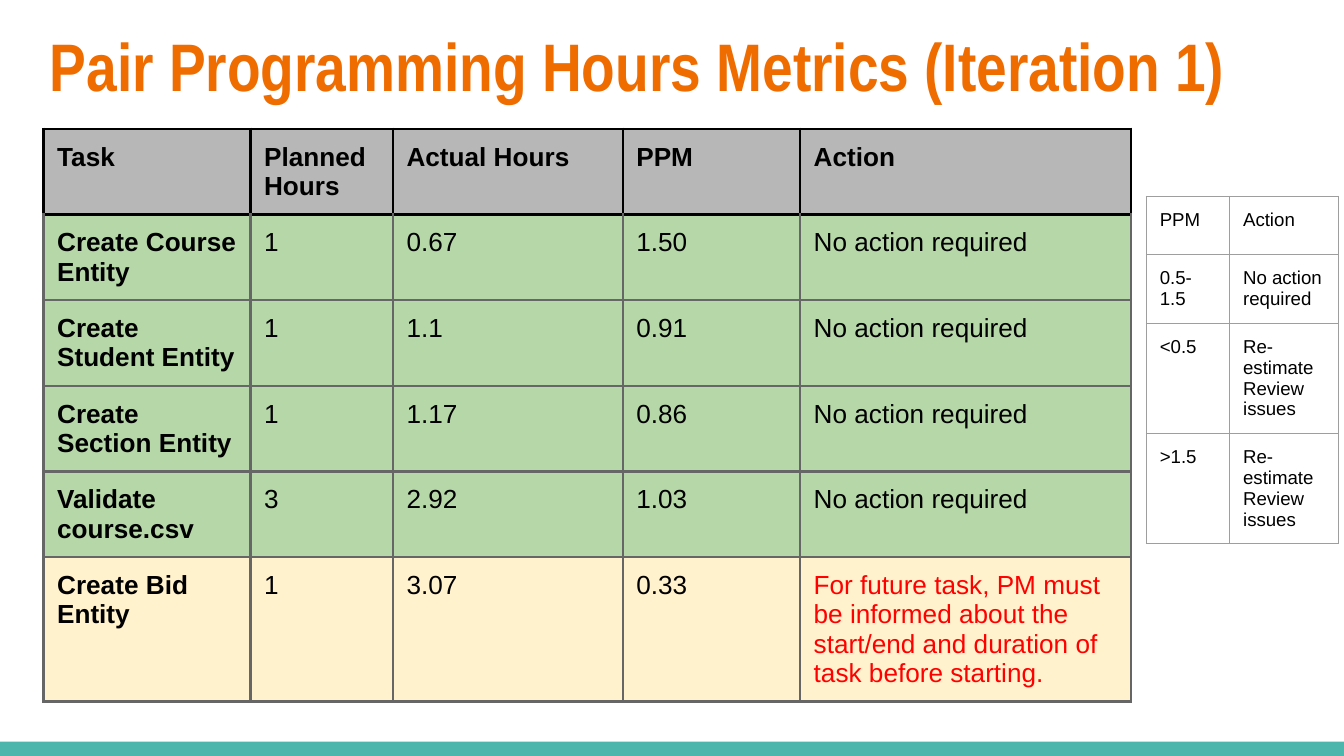
"""Build the slide of pair programming hours metrics for iteration 1."""
from lxml import etree
from pptx import Presentation
from pptx.dml.color import RGBColor
from pptx.enum.shapes import MSO_SHAPE
from pptx.enum.text import MSO_ANCHOR, MSO_AUTO_SIZE, PP_ALIGN
from pptx.oxml.ns import qn
from pptx.util import Inches, Pt

RECTANGLE = MSO_SHAPE.RECTANGLE
TOP = MSO_ANCHOR.TOP
NO_FIT = MSO_AUTO_SIZE.NONE
LEFT = PP_ALIGN.LEFT

ORANGE = RGBColor(0xEF, 0x6C, 0x00)
TEAL = RGBColor(0x4D, 0xB6, 0xAC)
BLACK = RGBColor(0x00, 0x00, 0x00)
RED = RGBColor(0xFF, 0x00, 0x00)
HEADER_GREY = RGBColor(0xB7, 0xB7, 0xB7)
GREEN = RGBColor(0xB6, 0xD7, 0xA8)
CREAM = RGBColor(0xFF, 0xF2, 0xCC)
DARK_RULE = RGBColor(0x66, 0x66, 0x66)
LIGHT_RULE = RGBColor(0x9E, 0x9E, 0x9E)

WIDTH = Inches(10)
HEIGHT = WIDTH * 9 // 16
INSET = Inches(0.1)
TITLE_ONLY = 5
EDGES = ("L", "R", "T", "B")

OK = "No action required"
REVIEW = "Re-estimate\nReview issues"
WARNING = ("For future task, PM must be informed about the start/end "
           "and duration of task before starting.")
HOURS = [
    ("Task", "Planned Hours", "Actual Hours", "PPM", "Action"),
    ("Create Course Entity", "1", "0.67", "1.50", OK),
    ("Create Student Entity", "1", "1.1", "0.91", OK),
    ("Create Section Entity", "1", "1.17", "0.86", OK),
    ("Validate course.csv", "3", "2.92", "1.03", OK),
    ("Create Bid Entity", "1", "3.07", "0.33", WARNING),
]
LEGEND = [("PPM", "Action"), ("0.5-1.5", OK), ("<0.5", REVIEW), (">1.5", REVIEW)]


def write(frame, text, size, font="Arial", color=BLACK, bold=False):
    """Fill a text frame with left-aligned paragraphs, one for each line."""
    frame.word_wrap = True
    frame.vertical_anchor = TOP
    frame.margin_left = frame.margin_right = INSET
    frame.margin_top = frame.margin_bottom = INSET
    frame.text = text
    for paragraph in frame.paragraphs:
        paragraph.alignment = LEFT
        for run in paragraph.runs:
            run.font.name = font
            run.font.size = Pt(size)
            run.font.bold = bold
            run.font.color.rgb = color


class Deck:
    """Hold the presentation and its slide; lengths are percent of the slide."""

    def __init__(self):
        """Open a presentation with one titled slide."""
        self.presentation = Presentation()
        self.presentation.slide_width = WIDTH
        self.presentation.slide_height = HEIGHT
        layout = self.presentation.slide_layouts[TITLE_ONLY]
        self.slide = self.presentation.slides.add_slide(layout)

    def across(self, share):
        """Turn a percentage of the slide width into a length."""
        return round(WIDTH * share / 100)

    def down(self, share):
        """Turn a percentage of the slide height into a length."""
        return round(HEIGHT * share / 100)

    def bar(self, left, top, width, height, color):
        """Add a plain coloured band."""
        band = self.slide.shapes.add_shape(
            RECTANGLE, self.across(left), self.down(top),
            self.across(width), self.down(height))
        band.shadow.inherit = False
        band.fill.solid()
        band.fill.fore_color.rgb = color
        band.line.fill.background()

    def title(self, text, left, top, width, height):
        """Place and format the title."""
        heading = self.slide.shapes.title
        heading.left, heading.top = self.across(left), self.down(top)
        heading.width, heading.height = self.across(width), self.down(height)
        write(heading.text_frame, text, 36, "Arial Narrow", ORANGE, bold=True)
        heading.text_frame.auto_size = NO_FIT

    def table(self, left, top, columns, rows):
        """Add an unbanded table with the given column and row shares."""
        table = self.slide.shapes.add_table(
            len(rows), len(columns), self.across(left), self.down(top),
            self.across(sum(columns)), self.down(sum(rows))).table
        table.first_row = table.horz_banding = False
        for column, share in zip(table.columns, columns):
            column.width = self.across(share)
        for row, share in zip(table.rows, rows):
            row.height = self.down(share)
        return table

    def cell(self, cell, text, size, rules, weight, fill=None, **style):
        """Write one cell, its borders by edge and its fill."""
        write(cell.text_frame, text, size, **style)
        cell.vertical_anchor = TOP
        cell.margin_left = cell.margin_right = INSET
        cell.margin_top = cell.margin_bottom = INSET
        properties = cell._tc.get_or_add_tcPr()
        for edge in EDGES:
            rule = etree.SubElement(properties, qn(f"a:ln{edge}"), w=str(Pt(weight)))
            paint = etree.SubElement(rule, qn("a:solidFill"))
            etree.SubElement(paint, qn("a:srgbClr"), val=str(rules[edge]))
        if fill is None:
            cell.fill.background()
        else:
            cell.fill.solid()
            cell.fill.fore_color.rgb = fill


def main():
    """Build and save the slide."""
    deck = Deck()
    deck.bar(0, 98.1, 100, 1.9, TEAL)
    deck.title("Pair Programming Hours Metrics (Iteration 1)", 2.7, 1.4, 93.2, 11.2)

    metrics = deck.table(3.25, 17.05, (15.4, 10.6, 17.1, 13.2, 24.6),
                         (11.3,) * 5 + (19,))
    fills = [HEADER_GREY] + [GREEN] * 4 + [CREAM]
    for r, (record, fill) in enumerate(zip(HOURS, fills)):
        rules = dict.fromkeys(EDGES, BLACK if r == 0 else DARK_RULE)
        if r == 1:
            rules["T"] = BLACK
        for c, text in enumerate(record):
            deck.cell(metrics.cell(r, c), text, 14, rules, 1.5, fill,
                      bold=r == 0 or c == 0,
                      color=RED if text == WARNING else BLACK)

    legend = deck.table(85.3, 26, (6.2, 8.1), (7.65, 9.1, 14.6, 14.6))
    rules = dict.fromkeys(EDGES, LIGHT_RULE)
    for r, record in enumerate(LEGEND):
        for c, text in enumerate(record):
            deck.cell(legend.cell(r, c), text, 10, rules, 0.75)

    deck.presentation.save("out.pptx")


if __name__ == "__main__":
    main()
